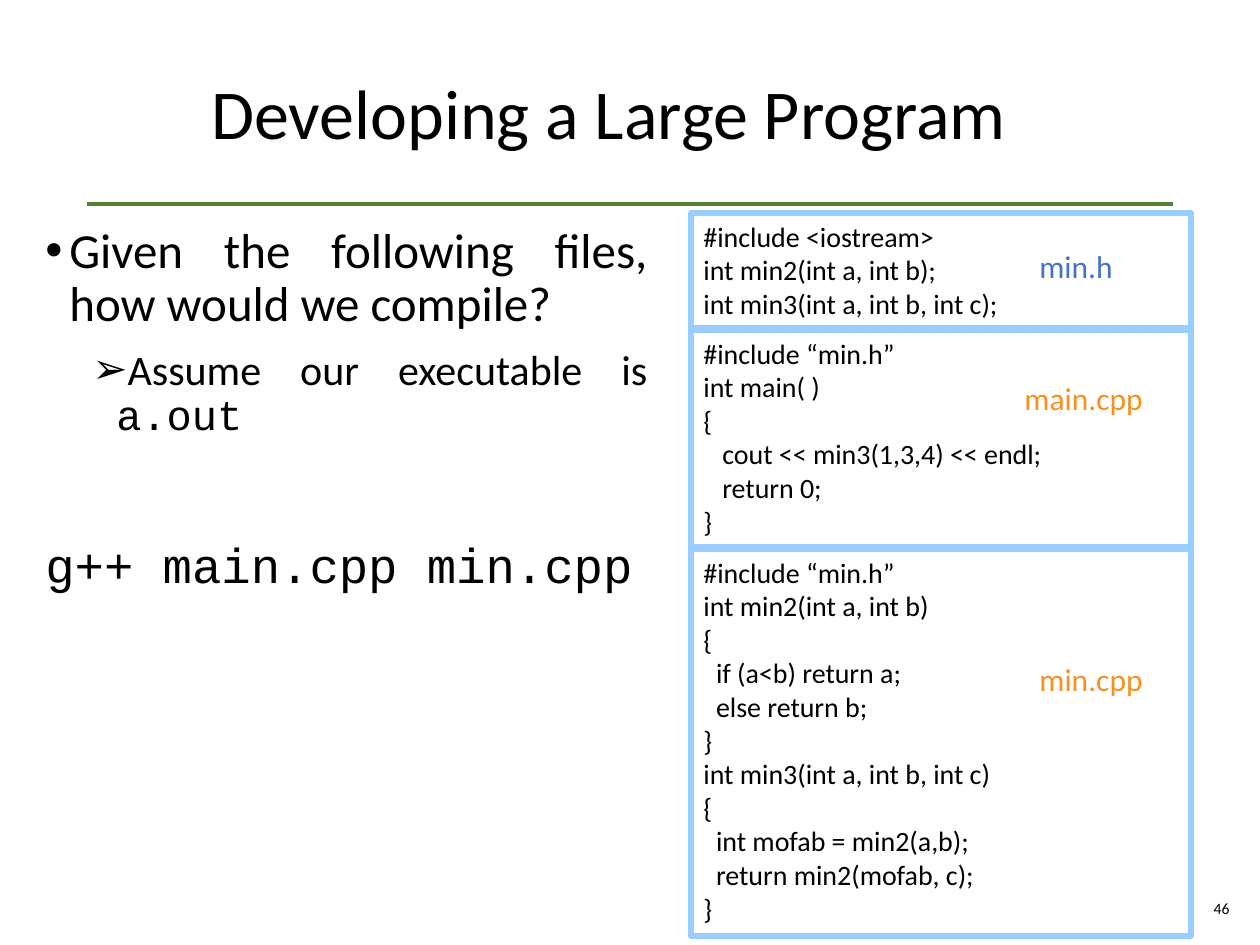
from dataclasses import dataclass

from lxml import etree
from pptx import Presentation
from pptx import util as u
from pptx.dml.color import RGBColor
from pptx.enum import shapes, text
from pptx.oxml.ns import qn

EMU_PER_PX = 914400 / 126


@dataclass(frozen=True)
class Theme:
    body_font: str = "Calibri"
    code_font: str = "Courier New"
    ink: str = "000000"
    rule: str = "548235"
    frame: str = "99CCFF"
    header_file: str = "4472C4"
    source_file: str = "F7901E"
    title: int = 40
    point: int = 28
    subpoint: int = 24
    label: int = 18
    code: int = 16
    page: int = 9


THEME = Theme()

MIN_H = """#include <iostream>
int min2(int a, int b);
int min3(int a, int b, int c);"""

MAIN_CPP = """#include “min.h”
int main( )
{
   cout << min3(1,3,4) << endl;
   return 0;
}"""

MIN_CPP = """#include “min.h”
int min2(int a, int b)
{
  if (a<b) return a;
  else return b;
}
int min3(int a, int b, int c)
{
  int mofab = min2(a,b);
  return min2(mofab, c);
}"""

# name, name colour, code, and the name's left, top and width within its box
FILES = [
    ("min.h", THEME.header_file, MIN_H, (336, 28, 101)),
    ("main.cpp", THEME.source_file, MAIN_CPP, (321, 43, 145)),
    ("min.cpp", THEME.source_file, MIN_CPP, (336, 105, 130)),
]


def px(length):
    return u.Emu(round(length * EMU_PER_PX))


def add_run(paragraph, wording, size, color=THEME.ink, font=THEME.body_font):
    run = paragraph.add_run()
    run.text = wording
    run.font.size = u.Pt(size)
    run.font.name = font
    run.font.color.rgb = RGBColor.from_string(color)


def add_text_frame(slide, box, anchor=text.MSO_ANCHOR.TOP, wrap=True):
    frame = slide.shapes.add_textbox(*map(px, box)).text_frame
    frame.word_wrap = wrap
    frame.vertical_anchor = anchor
    return frame


def set_bullet(paragraph, mark, margin, hanging):
    properties = paragraph._p.get_or_add_pPr()
    properties.set("marL", str(px(margin)))
    properties.set("indent", str(px(-hanging)))
    etree.SubElement(properties, qn("a:buFont")).set("typeface", "Arial")
    etree.SubElement(properties, qn("a:buChar")).set("char", mark)


def add_title(slide, box):
    heading = add_text_frame(slide, box, text.MSO_ANCHOR.MIDDLE).paragraphs[0]
    heading.line_spacing = 0.9
    add_run(heading, "Developing a Large Program", THEME.title)


def add_rule(slide, left, right, y):
    rule = slide.shapes.add_connector(
        shapes.MSO_CONNECTOR.STRAIGHT, px(left), px(y), px(right), px(y))
    rule.line.color.rgb = RGBColor.from_string(THEME.rule)
    rule.line.width = u.Pt(2)
    etree.SubElement(rule._element.spPr, qn("a:effectLst"))


def add_question(slide, box):
    frame = add_text_frame(slide, box)
    question = frame.paragraphs[0]
    assumption = frame.add_paragraph()
    command = frame.add_paragraph()
    assumption.level = 1
    for paragraph, before in ((question, 7.5), (assumption, 3.8), (command, 52)):
        paragraph.alignment = text.PP_ALIGN.JUSTIFY
        paragraph.line_spacing = 0.9
        paragraph.space_before = u.Pt(before)
        paragraph.space_after = u.Pt(6)
    set_bullet(question, "•", 24, 24)
    set_bullet(assumption, "➢", 71, 24)
    add_run(question, "Given the following files, how would we compile?", THEME.point)
    add_run(assumption, "Assume our executable is ", THEME.subpoint)
    add_run(assumption, "a.out", THEME.subpoint, font=THEME.code_font)
    add_run(command, "g++ main.cpp min.cpp", THEME.point, font=THEME.code_font)


def add_code_box(slide, box, code):
    listing = slide.shapes.add_shape(shapes.MSO_SHAPE.RECTANGLE, *map(px, box))
    listing.shadow.inherit = False
    listing.fill.background()
    listing.line.color.rgb = RGBColor.from_string(THEME.frame)
    listing.line.width = u.Pt(3)
    frame = listing.text_frame
    frame.word_wrap = True
    frame.vertical_anchor = text.MSO_ANCHOR.TOP
    for number, line in enumerate(code.splitlines()):
        paragraph = frame.add_paragraph() if number else frame.paragraphs[0]
        paragraph.alignment = text.PP_ALIGN.LEFT
        add_run(paragraph, line, THEME.code)


def add_file_stack(slide, left, top, width, line_height=34, padding=13, gap=2):
    """Stack the files downwards, each box as tall as its lines need."""
    for name, color, code, (name_x, name_y, name_width) in FILES:
        height = line_height * len(code.splitlines()) + padding
        add_code_box(slide, (left, top, width, height), code)
        label = add_text_frame(
            slide, (left + name_x, top + name_y, name_width, 50), wrap=False)
        add_run(label.paragraphs[0], name, THEME.label, color)
        top += height + gap


def add_page_number(slide, box, number):
    page = add_text_frame(slide, box, text.MSO_ANCHOR.MIDDLE).paragraphs[0]
    page.alignment = text.PP_ALIGN.RIGHT
    add_run(page, str(number), THEME.page)


def main():
    deck = Presentation()
    deck.slide_width, deck.slide_height = px(1260), px(945)
    slide = deck.slides.add_slide(deck.slide_layouts[6])
    add_rule(slide, 87, 1173, 204)
    add_title(slide, (199, 38, 998, 157))
    add_question(slide, (33, 220, 627, 663))
    add_page_number(slide, (1192, 883, 50, 50), 46)
    add_file_stack(slide, 691, 213, 500)
    deck.save("out.pptx")


if __name__ == "__main__":
    main()
